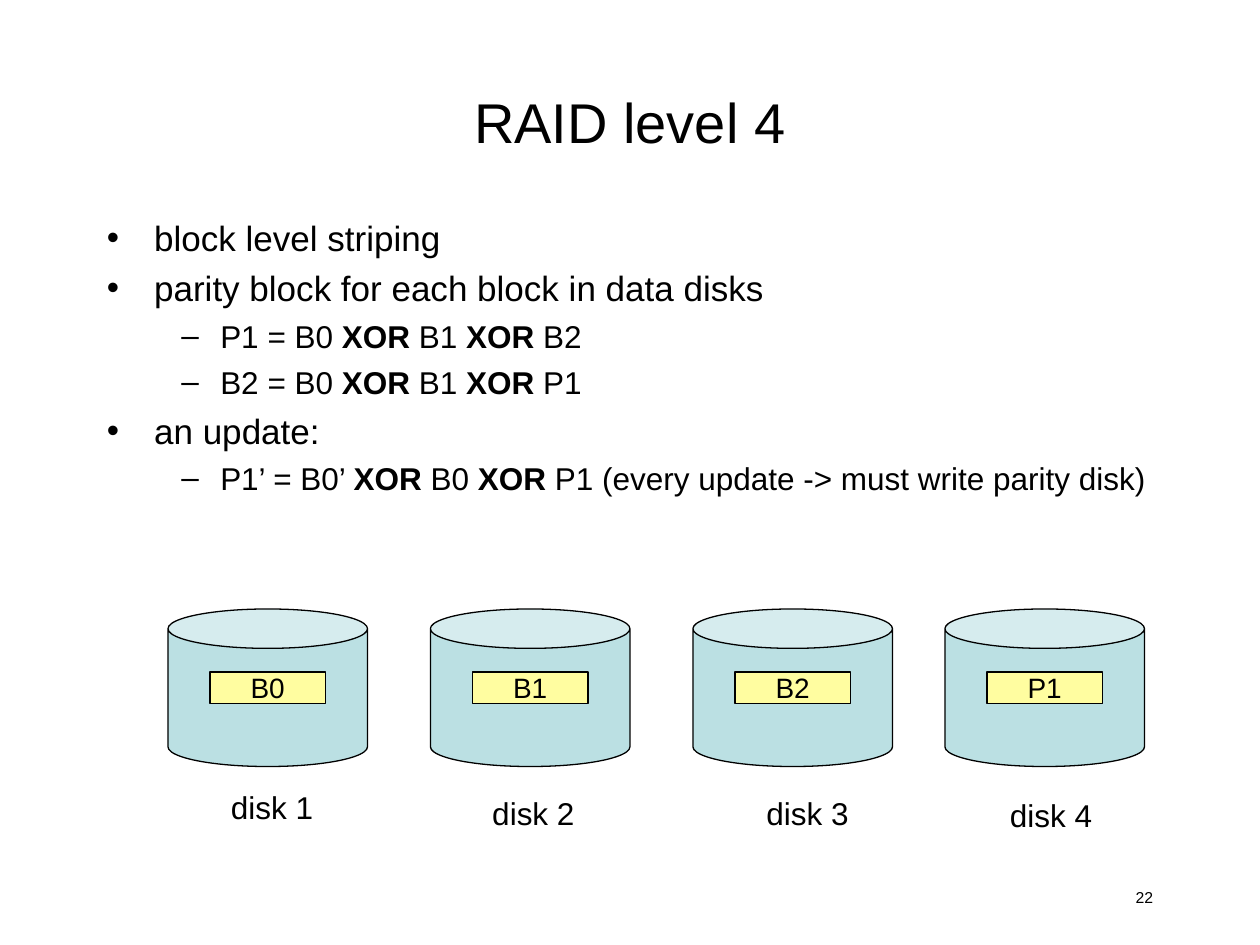
from dataclasses import dataclass

from lxml import etree
from pptx import Presentation
from pptx.dml.color import RGBColor
from pptx.enum.shapes import MSO_SHAPE
from pptx.enum.text import MSO_ANCHOR, MSO_AUTO_SIZE, PP_ALIGN
from pptx.oxml.ns import qn
from pptx.util import Emu, Pt

CAN, RECT = MSO_SHAPE.CAN, MSO_SHAPE.RECTANGLE
LEFT, MID, RIGHT = PP_ALIGN.LEFT, PP_ALIGN.CENTER, PP_ALIGN.RIGHT
TOP, CENTER = MSO_ANCHOR.TOP, MSO_ANCHOR.MIDDLE
GROW = MSO_AUTO_SIZE.SHAPE_TO_FIT_TEXT

SCALE = 7620  # EMU in one px, 120 px to the inch
FONT = "Arial"
BLACK, TEAL, YELLOW = "000000", "BBE0E3", "FFFDA0"


@dataclass
class Level:
    size: int
    left: int
    hang: int
    before: float
    mark: str


@dataclass
class Line:
    level: int
    text: str  # parts between asterisks are bold


@dataclass
class Disk:
    left: int
    block: str
    name: str
    name_left: int
    name_top: int


LEVELS = [Level(20, 45, 45, 5, "•"), Level(18, 108, 37, 4.5, "–")]

LINES = [
    Line(0, "block level striping"),
    Line(0, "parity block for each block in data disks"),
    Line(1, "P1 = B0 *XOR* B1 *XOR* B2"),
    Line(1, "B2 = B0 *XOR* B1 *XOR* P1"),
    Line(0, "an update:"),
    Line(1, "P1’ = B0’ *XOR* B0 *XOR* P1 (every update -> must write parity disk)"),
]

DISKS = [
    Disk(160, "B0", "disk 1", 208, 745),
    Disk(410, "B1", "disk 2", 457, 750),
    Disk(660, "B2", "disk 3", 718, 750),
    Disk(900, "P1", "disk 4", 950, 752),
]


def px(n: int) -> Emu:
    return Emu(n * SCALE)


def color(code: str) -> RGBColor:
    return RGBColor.from_string(code)


def style(run, size: int, bold: bool = False) -> None:
    font = run.font
    font.name, font.size, font.bold = FONT, Pt(size), bold
    font.color.rgb = color(BLACK)


def write(frame, text: str, size: int, align=LEFT, anchor=TOP, wrap: bool = True) -> None:
    frame.text = text
    frame.word_wrap = wrap
    frame.vertical_anchor = anchor
    para = frame.paragraphs[0]
    para.alignment = align
    style(para.runs[0], size)


def add_text(slide, box: tuple[int, int, int, int]):
    return slide.shapes.add_textbox(*map(px, box)).text_frame


def add_form(slide, kind, box: tuple[int, int, int, int], fill: str):
    form = slide.shapes.add_shape(kind, *map(px, box))
    form.shadow.inherit = False
    form.fill.solid()
    form.fill.fore_color.rgb = color(fill)
    form.line.color.rgb = color(BLACK)
    form.line.width = Pt(0.75)
    return form


def add_mark(para, level: Level) -> None:
    props = para._p.get_or_add_pPr()
    props.set("marL", str(px(level.left)))
    props.set("indent", str(px(-level.hang)))
    tint = etree.SubElement(props, qn("a:buClr"))
    etree.SubElement(tint, qn("a:srgbClr"), val=BLACK)
    etree.SubElement(props, qn("a:buFont"), typeface=FONT)
    etree.SubElement(props, qn("a:buChar"), char=level.mark)


def add_list(slide, box: tuple[int, int, int, int], lines: list[Line]) -> None:
    frame = add_text(slide, box)
    frame.word_wrap = True
    for i, line in enumerate(lines):
        para = frame.add_paragraph() if i else frame.paragraphs[0]
        level = LEVELS[line.level]
        para.level = line.level
        add_mark(para, level)
        para.space_before = Pt(level.before if i else 0)
        for j, part in enumerate(line.text.split("*")):
            run = para.add_run()
            run.text = part
            style(run, level.size, bold=j % 2 == 1)


def add_disk(slide, disk: Disk) -> None:
    add_form(slide, CAN, (disk.left, 580, 190, 150), TEAL)
    block = add_form(slide, RECT, (disk.left + 40, 640, 110, 30), YELLOW)
    write(block.text_frame, disk.block, 16, MID, CENTER, wrap=False)
    name = add_text(slide, (disk.name_left, disk.name_top, 102, 48))
    write(name, disk.name, 18, wrap=False)
    name.auto_size = GROW


def main() -> None:
    deck = Presentation()
    deck.slide_width, deck.slide_height = px(1200), px(900)
    slide = deck.slides.add_slide(deck.slide_layouts[6])

    # Title and bullets
    write(add_text(slide, (90, 40, 1020, 150)), "RAID level 4", 32, MID, CENTER)
    add_list(slide, (90, 200, 1020, 620), LINES)

    # Row of disks
    for disk in DISKS:
        add_disk(slide, disk)

    # Page number
    write(add_text(slide, (860, 840, 250, 40)), "22", 9, RIGHT)

    deck.save("out.pptx")


if __name__ == "__main__":
    main()
